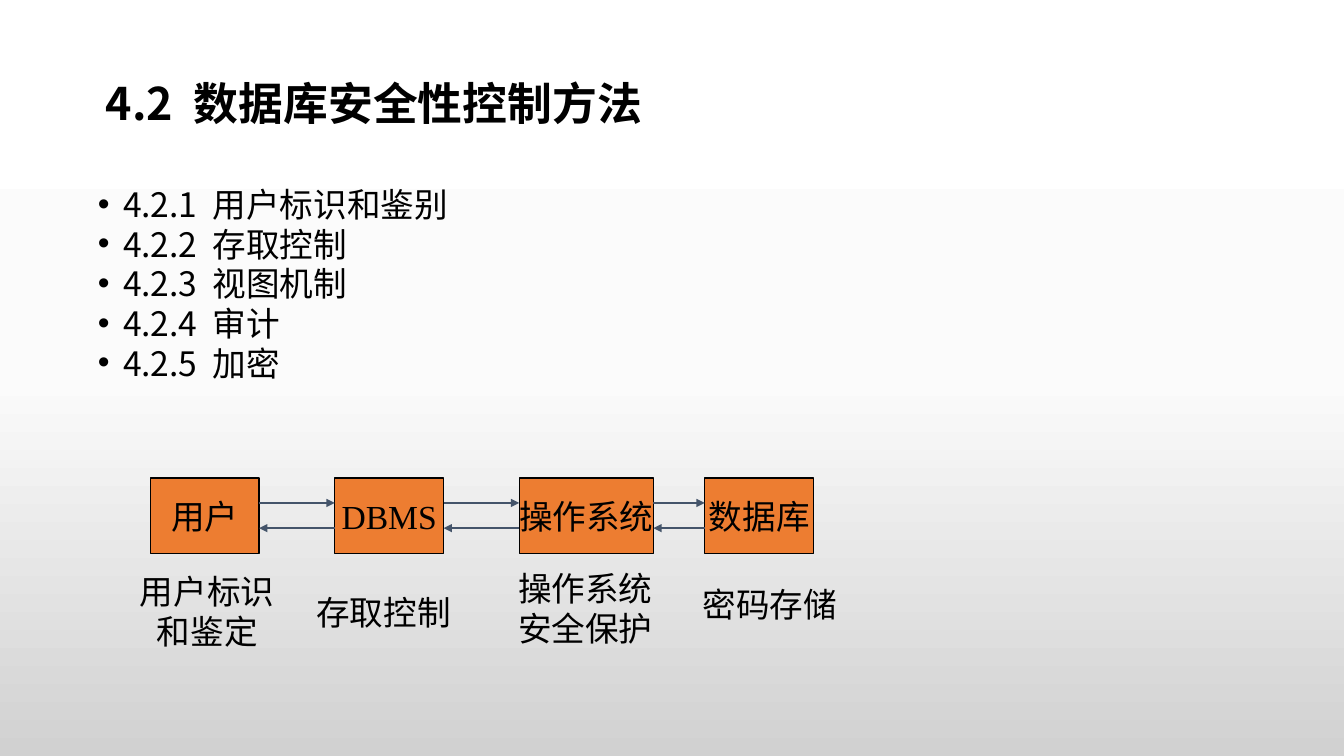
from copy import deepcopy
from itertools import pairwise

from pptx import Presentation
from pptx.dml.color import RGBColor
from pptx.enum.shapes import MSO_CONNECTOR as Link, MSO_SHAPE as Preset
from pptx.enum.text import MSO_ANCHOR as Anchor, MSO_AUTO_SIZE as Fit, PP_ALIGN as Align
from pptx.oxml.ns import qn
from pptx.util import Inches, Pt

# Content
HEADING = "4.2  数据库安全性控制方法"
TOPICS = [
    "4.2.1  用户标识和鉴别",
    "4.2.2  存取控制",
    "4.2.3  视图机制",
    "4.2.4  审计",
    "4.2.5  加密",
]
# Stage name, left, width, protection lines, protection left, top, width, height
STAGES = [
    ("用户", 1.49, 1.08, ["用户标识", "和鉴定"], (1.28, 5.61, 1.55, 0.91)),
    ("DBMS", 3.32, 1.08, ["存取控制"], (3.04, 5.82, 1.53, 0.5)),
    ("操作系统", 5.15, 1.33, ["操作系统", "安全保护"], (5.03, 5.58, 1.55, 0.91)),
    ("数据库", 6.99, 1.08, ["密码存储"], (6.87, 5.74, 1.53, 0.5)),
]

# Look and layout
THEME = {
    "sans": "Noto Sans CJK SC", "serif": "Times New Roman",
    "title": Pt(32), "text": Pt(24), "line": Pt(1),
    "ink": RGBColor.from_string("000000"),
    "box": RGBColor.from_string("ED7D31"),
    "arrow": RGBColor.from_string("44546A"),
    "backdrop": [(0, "FFFFFF"), (0.5, "FBFBFB"), (1, "D1D1D1")],
}
TITLE_AREA = (0.95, 0.58, 8.5, 0.95)
TOPIC_AREA = (0.87, 1.85, 9, 2.42)
STAGE_TOP, STAGE_HEIGHT = 4.74, 0.75
HEADING_FONT = {"name": THEME["sans"], "size": THEME["title"], "bold": True}
TOPIC_FONT = {"name": THEME["sans"], "size": THEME["text"]}
FLOW_FONT = {"name": THEME["serif"], "size": THEME["text"]}


def apply(target, values):
    for name, value in values.items():
        setattr(target, name, value)


def place(part, area):
    apply(part, dict(zip(("left", "top", "width", "height"), map(Inches, area))))


def write(frame, lines, font, frame_format, paragraph_format):
    apply(frame, {"auto_size": Fit.NONE} | frame_format)
    frame.text = "\n".join(lines)
    for paragraph in frame.paragraphs:
        apply(paragraph, paragraph_format)
        for run in paragraph.runs:
            apply(run.font, font)
            run.font.color.rgb = THEME["ink"]
            east_asian = run.font._element.makeelement(qn("a:ea"), {"typeface": THEME["sans"]})
            run.font._element.find(qn("a:latin")).addnext(east_asian)


def write_centred(frame, lines):
    insets = dict.fromkeys(("margin_left", "margin_right"), 0)
    write(frame, lines, FLOW_FONT,
          {"word_wrap": False, "vertical_anchor": Anchor.MIDDLE} | insets,
          {"alignment": Align.CENTER})


def add_arrow(shapes, start, end, height):
    arrow = shapes.add_connector(Link.STRAIGHT, *map(Inches, (start, height, end, height)))
    arrow.line.color.rgb = THEME["arrow"]
    arrow.line.width = THEME["line"]
    outline = arrow.line._get_or_add_ln()
    outline.append(outline.makeelement(qn("a:tailEnd"), {"type": "triangle"}))
    outline.addnext(outline.makeelement(qn("a:effectLst"), {}))


def paint_backdrop(slide):
    fill = slide.background.fill
    fill.gradient()
    fill.gradient_angle = 270
    first = fill.gradient_stops[0]._gs
    first.addnext(deepcopy(first))
    for stop, (position, colour) in zip(fill.gradient_stops, THEME["backdrop"]):
        stop.position = position
        stop.color.rgb = RGBColor.from_string(colour)


def main():
    deck = Presentation()
    apply(deck, {"slide_width": Inches(13.33), "slide_height": Inches(7.5)})
    slide = deck.slides.add_slide(deck.slide_layouts[1])
    paint_backdrop(slide)

    # Title and topic list
    title, topics = slide.placeholders
    place(title, TITLE_AREA)
    write(title.text_frame, [HEADING], HEADING_FONT, {"vertical_anchor": Anchor.MIDDLE},
          {"alignment": Align.LEFT, "line_spacing": 0.9})
    place(topics, TOPIC_AREA)
    write(topics.text_frame, TOPICS, TOPIC_FONT, {"vertical_anchor": Anchor.TOP},
          {"line_spacing": 0.8, "space_before": Pt(5.3)})
    for topic in topics.text_frame.paragraphs:
        indents = topic._p.get_or_add_pPr()
        indents.set("marL", str(Inches(0.25)))
        indents.set("indent", str(Inches(-0.25)))

    # Stages with their protection below
    for stage, left, width, protection, area in STAGES:
        box = slide.shapes.add_shape(
            Preset.RECTANGLE, *map(Inches, (left, STAGE_TOP, width, STAGE_HEIGHT)))
        box.shadow.inherit = False
        box.fill.solid()
        box.fill.fore_color.rgb = THEME["box"]
        box.line.color.rgb = THEME["ink"]
        box.line.width = THEME["line"]
        write_centred(box.text_frame, [stage])
        label = slide.shapes.add_textbox(*map(Inches, area))
        write_centred(label.text_frame, protection)

    # Arrows both ways between neighbours, at thirds of the box height
    for (_, left, width, *_), (_, following, *_) in pairwise(STAGES):
        add_arrow(slide.shapes, left + width, following, STAGE_TOP + STAGE_HEIGHT / 3)
        add_arrow(slide.shapes, following, left + width, STAGE_TOP + STAGE_HEIGHT * 2 / 3)

    deck.save("out.pptx")


if __name__ == "__main__":
    main()
